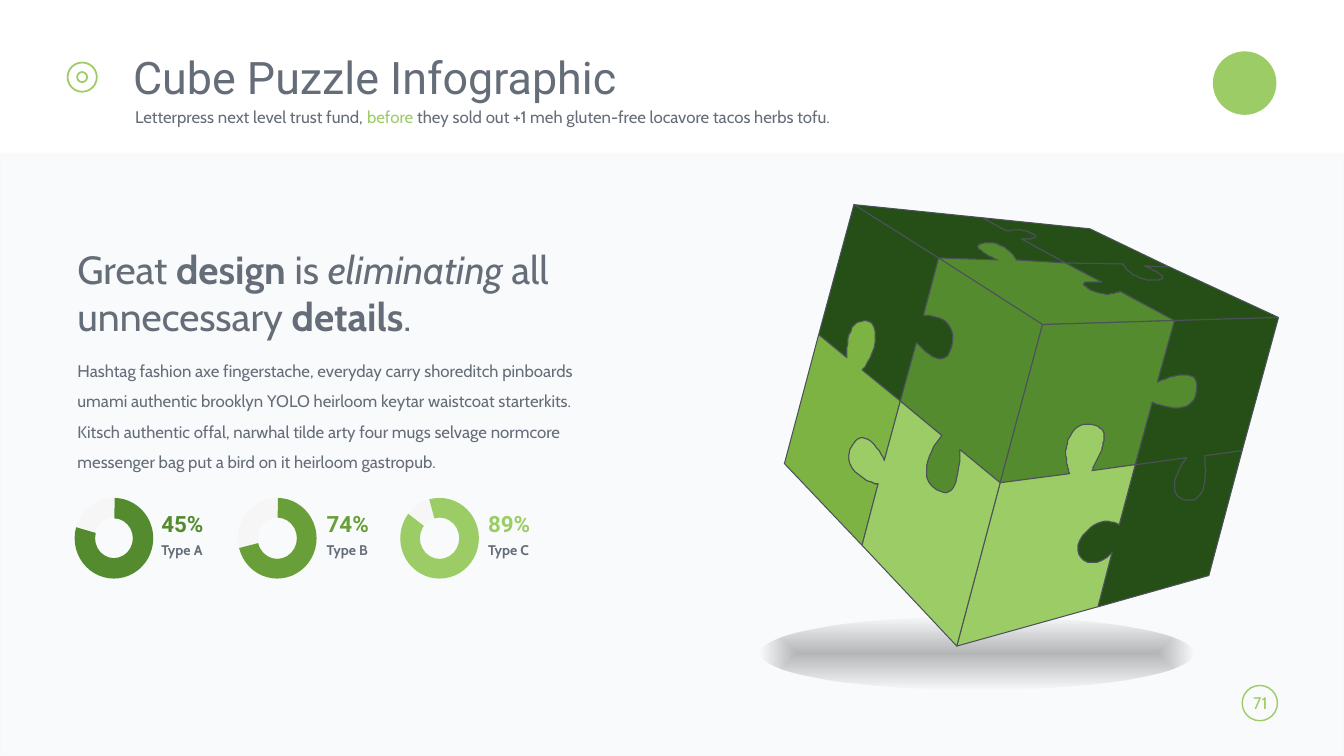
"""Build the cube puzzle infographic slide."""
from pptx import Presentation
from pptx.dml.color import RGBColor
from pptx.enum.shapes import MSO_SHAPE as Kind
from pptx.enum.text import MSO_ANCHOR as Anchor, PP_ALIGN as Align
from pptx.oxml import parse_xml
from pptx.oxml.ns import nsdecls, qn
from pptx.util import Inches, Pt

cell = Inches(0.01)
cols, rows = 1333, 750
hue = RGBColor.from_string
grey, lime, leaf, moss, pine, fern = (
    "656D78", "9CCC65", "7CB342", "558B2F", "264F17", "689F38")

deck = Presentation()
deck.slide_width, deck.slide_height = cols * cell, rows * cell
slide = deck.slides.add_slide(deck.slide_layouts[0])
shapes = slide.shapes


def draw(kind, place, fill=None, line=None, wide=1):
    """Add a preset shape on the grid, with flat fill and line."""
    shape = shapes.add_shape(kind, *(n * cell for n in place))
    shape.shadow.inherit = False
    for part, tone in (shape.fill, fill), (shape.line.fill, line):
        if tone:
            part.solid()
            part.fore_color.rgb = hue(tone)
        else:
            part.background()
    if line:
        shape.line.width = Pt(wide)
    return shape


def write(text, place, size, font="Cabin", tone=grey, bold=None, lead=None,
          align=Align.LEFT, anchor=Anchor.TOP, inset=None, wrap=True, holder=None):
    """Set text, or (text, format) runs, in a box or a placeholder."""
    spot = [n * cell for n in place]
    shape = holder or shapes.add_textbox(*spot)
    shape.left, shape.top, shape.width, shape.height = spot
    frame = shape.text_frame
    frame.word_wrap, frame.vertical_anchor = wrap, anchor
    if inset is not None:
        frame.margin_left = frame.margin_right = inset
        frame.margin_top = frame.margin_bottom = inset
    para = frame.paragraphs[0]
    para.alignment, para.line_spacing = align, lead
    for words, style in [(text, {})] if isinstance(text, str) else text:
        run = para.add_run()
        run.text = words
        run.font.size, run.font.name = Pt(size), font
        run.font.bold = style.get("bold", bold)
        run.font.italic = style.get("italic")
        run.font.color.rgb = hue(style.get("tone", tone))


draw(Kind.OVAL, (1203, 51, 63, 63), lime)
panel = draw(Kind.RECTANGLE, (0, 153, cols, 598), "7B8DB3", "EBEBEB", 2)
for tint, share in zip(panel._element.spPr.iter(qn("a:srgbClr")), (4, 10)):
    tint.append(parse_xml(f'<a:alpha {nsdecls("a")} val="{share * 1000}"/>'))

for size in 29, 10:
    draw(Kind.OVAL, (81.5 - size / 2, 76.5 - size / 2, size, size), None, lime, 1.25)
badge = draw(Kind.ROUNDED_RECTANGLE, (1232, 680, 35, 35), None, lime)
badge.adjustments[0] = 0.5
write("71", (1231, 682, 38, 30), 12, tone=lime, align=Align.CENTER, wrap=False)

head, sub = slide.placeholders
write("Cube Puzzle Infographic", (122, 53, 1007, 53), 32, "Roboto", lead=0.9,
      anchor=Anchor.MIDDLE, holder=head)
write([("Letterpress next level trust fund, ", {}), ("before", {"tone": lime}),
       (" they sold out +1 meh gluten-free locavore tacos herbs tofu.", {})],
      (124, 103, 1005, 29), 12, lead=0.9, anchor=Anchor.MIDDLE, holder=sub)

shade = draw(Kind.OVAL, (754, 612, 430, 72))._element.spPr
shade.replace(shade.find(qn("a:noFill")), parse_xml(
    f'<a:gradFill {nsdecls("a")} rotWithShape="1"><a:gsLst>'
    '<a:gs pos="0"><a:srgbClr val="000000"><a:alpha val="27000"/></a:srgbClr></a:gs>'
    '<a:gs pos="100000"><a:srgbClr val="000000"><a:alpha val="0"/></a:srgbClr></a:gs>'
    '</a:gsLst><a:path path="shape">'
    '<a:fillToRect l="50000" t="50000" r="50000" b="50000"/></a:path></a:gradFill>'))

nodes = {
    "A": (847, 203), "B": (1081, 227), "C": (1268, 315), "D": (1034, 322),
    "E": (931, 256), "F": (974, 216), "G": (1160, 265), "H": (1165, 318),
    "M": (1057, 261), "N": (949, 641), "P": (778, 460), "Q": (812, 332),
    "R": (855, 541), "S": (992, 479), "T": (893, 398), "U": (1199, 571),
    "V": (1232, 447), "W": (1089, 602), "X": (1126, 461)}
knobs = {
    "FM": [(998, 229), (1004, 228), (1020, 227), (1026, 233),
           (1030, 237), (1020, 237), (1013, 237)],
    "MG": [(1114, 262), (1117, 271), (1136, 281), (1149, 278),
           (1160, 276), (1146, 268), (1135, 264)],
    "EM": [(990, 258), (979, 253), (960, 243), (977, 241),
           (996, 240), (1005, 252), (1008, 258)],
    "MH": [(1093, 280), (1083, 279), (1067, 279), (1079, 286),
           (1092, 294), (1104, 292), (1111, 289)],
    "ET": [(916, 313), (927, 313), (951, 317), (944, 344),
           (938, 367), (919, 352), (909, 340)],
    "QT": [(840, 355), (840, 344), (840, 318), (858, 318),
           (877, 319), (866, 357), (855, 367)],
    "TS": [(934, 432), (925, 443), (907, 471), (929, 486),
           (949, 499), (952, 468), (952, 446)],
    "TR": [(877, 457), (872, 446), (858, 423), (846, 441),
           (832, 461), (858, 480), (871, 480)],
    "HX": [(1148, 379), (1162, 373), (1190, 363), (1187, 386),
           (1184, 413), (1156, 405), (1143, 399)],
    "SX": [(1061, 470), (1059, 464), (1056, 451), (1058, 442),
           (1060, 434), (1067, 418), (1082, 421), (1099, 424), (1096, 435),
           (1093, 444), (1092, 451), (1085, 462), (1083, 467)],
    "XV": [(1177, 454), (1168, 467), (1155, 491), (1175, 496),
           (1198, 501), (1196, 468), (1195, 452)],
    "XW": [(1110, 521), (1105, 518), (1089, 511), (1074, 531),
           (1058, 553), (1084, 570), (1103, 548)]}

seams = {}
for ends, bend in knobs.items():
    trail = [bend[0]]
    for i in range(0, len(bend) - 1, 3):
        for step in range(1, 13):
            t = step / 12
            mix = (1 - t) ** 3, 3 * t * (1 - t) ** 2, 3 * t * t * (1 - t), t ** 3
            trail.append(tuple(sum(m * dot[axis] for m, dot in zip(mix, bend[i:i + 4]))
                               for axis in (0, 1)))
    seams[ends] = trail
    seams[ends[::-1]] = trail[::-1]

for ring, tone in (
        ("FBGM", pine), ("AFME", pine), ("AETQ", pine), ("EMHD", moss),
        ("EDST", moss), ("DHXS", moss), ("XVUW", pine), ("MGCH", pine),
        ("HCVX", pine), ("QTRP", leaf), ("SXWN", lime), ("TSNR", lime)):
    dots = []
    for start, end in zip(ring, ring[1:] + ring[0]):
        dots += [nodes[start], *seams.get(start + end, [])]
    pen = shapes.build_freeform(*dots[0], scale=cell)
    pen.add_line_segments(dots[1:], close=True)
    piece = pen.convert_to_shape()
    piece.shadow.inherit = False
    piece.fill.solid()
    piece.fill.fore_color.rgb = hue(tone)
    piece.line.color.rgb = hue("4C525A")
    piece.line.width = Pt(0.75)

strong = {"bold": True}
write([("Great ", {}), ("design", strong), (" is ", {}),
       ("eliminating", {"italic": True}), (" all unnecessary ", {}),
       ("details", strong), (".", {})], (67, 238, 546, 104), 28)
write("Hashtag fashion axe fingerstache, everyday carry shoreditch pinboards "
      "umami authentic brooklyn YOLO heirloom keytar waistcoat starterkits. Kitsch "
      "authentic offal, narwhal tilde arty four mugs selvage normcore messenger bag "
      "put a bird on it heirloom gastropub.", (67, 343, 532, 131), 12, lead=1.5)

for left, side, rate, name, tone, start, end, thick in (
        (74, 160, "45%", "Type A", moss, 271.06, 196.24, 0.26),
        (236, 324, "74%", "Type B", fern, 271.06, 165.61, 0.25),
        (397, 484, "89%", "Type C", lime, 255.23, 217.98, 0.25)):
    spot = left, 494, 78, 80
    draw(Kind.DONUT, spot, "F6F6F6")
    arc = draw(Kind.BLOCK_ARC, spot, tone)
    for i, value in enumerate((start * 0.6, end * 0.6, thick)):
        arc.adjustments[i] = value
    write(rate, (side, 509, 49, 29), 16, "Roboto", tone, True, 0.9, inset=0)
    write(name, (side, 539, 49, 23), 10, bold=True, lead=0.9, inset=0)

deck.save("out.pptx")
